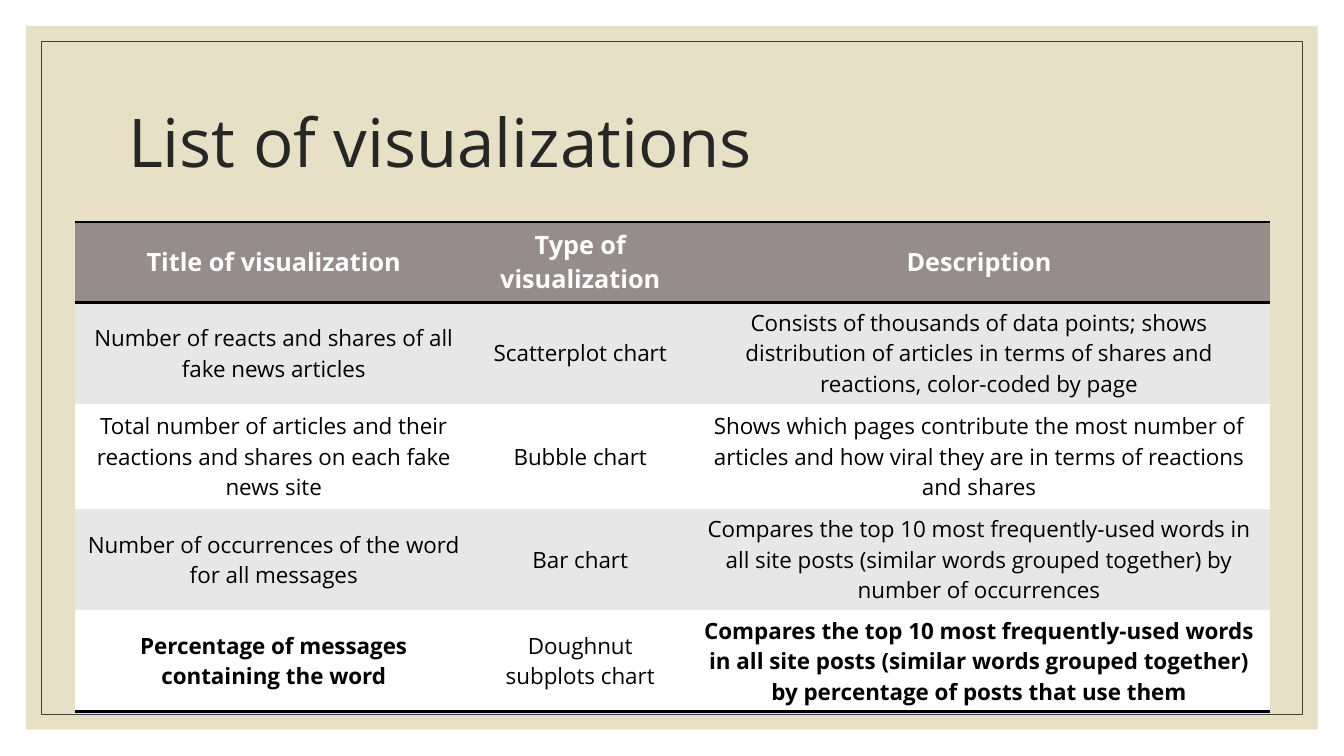
from lxml import etree
from pptx import Presentation, util as u
from pptx.dml.color import RGBColor
from pptx.enum import shapes, text
from pptx.oxml.ns import qn

WIDTH, HEIGHT = 13.33, 7.5
FONT = "Open Sans"
NO_STYLE = "{2D5ABB26-0587-4C30-8999-92F81FD0307C}"
COLUMNS = [3.95, 2.13, 5.78]
ROW_HEIGHTS = [0.8, 1.01, 1.04, 1, 1]
HEADER = ["Title of visualization", "Type of visualization", "Description"]
VISUALIZATIONS = [
    ["Number of reacts and shares of all fake news articles", "Scatterplot chart",
     "Consists of thousands of data points; shows distribution of articles in terms of "
     "shares and reactions, color-coded by page"],
    ["Total number of articles and their reactions and shares on each fake news site",
     "Bubble chart",
     "Shows which pages contribute the most number of articles and how viral they are "
     "in terms of reactions and shares"],
    ["Number of occurrences of the word for all messages", "Bar chart",
     "Compares the top 10 most frequently-used words in all site posts (similar words "
     "grouped together) by number of occurrences"],
    ["Percentage of messages containing the word", "Doughnut subplots chart",
     "Compares the top 10 most frequently-used words in all site posts (similar words "
     "grouped together) by percentage of posts that use them"],
]


def paint(color_format, value):
    color_format.rgb = RGBColor.from_string(value)


def write(frame, words, size, color, align, bold=False):
    frame.vertical_anchor = text.MSO_ANCHOR.MIDDLE
    paragraph = frame.paragraphs[0]
    paragraph.alignment = align
    run = paragraph.add_run()
    run.text = words
    run.font.name, run.font.size, run.font.bold = FONT, u.Pt(size), bold
    paint(run.font.color, color)
    return paragraph


def add_frame(slide, margin, depth, fill=None, line=None):
    """Rectangle at an equal margin from every slide edge, behind the placeholders."""
    shape = slide.shapes.add_shape(
        shapes.MSO_SHAPE.RECTANGLE, u.Inches(margin), u.Inches(margin),
        u.Inches(WIDTH - 2 * margin), u.Inches(HEIGHT - 2 * margin))
    shape.shadow.inherit = False
    if fill:
        shape.fill.solid()
        paint(shape.fill.fore_color, fill)
    else:
        shape.fill.background()
    if line:
        paint(shape.line.color, line)
        shape.line.width = u.Pt(0.5)
    else:
        shape.line.fill.background()
    slide.shapes._spTree.insert(2 + depth, shape._element)


def add_title(slide, left, top, width, height):
    title = slide.shapes.title
    title.left, title.top = u.Inches(left), u.Inches(top)
    title.width, title.height = u.Inches(width), u.Inches(height)
    paragraph = write(title.text_frame, "List of visualizations", 48, "262626",
                      text.PP_ALIGN.LEFT)
    paragraph.line_spacing = 0.9


def add_border(cell, side):
    border = etree.Element(qn(f"a:{side}"), w=str(u.Pt(2)))
    fill = etree.SubElement(border, qn("a:solidFill"))
    etree.SubElement(fill, qn("a:srgbClr"), val="000000")
    cell._tc.get_or_add_tcPr().insert(0, border)


def add_visualization_table(slide, left, top):
    rows = [HEADER, *VISUALIZATIONS]
    table = slide.shapes.add_table(
        len(rows), len(COLUMNS), u.Inches(left), u.Inches(top),
        u.Inches(sum(COLUMNS)), u.Inches(sum(ROW_HEIGHTS))).table
    table._tbl.tblPr.find(qn("a:tableStyleId")).text = NO_STYLE
    for column, width in zip(table.columns, COLUMNS):
        column.width = u.Inches(width)
    last = len(rows) - 1
    for r, words in enumerate(rows):
        table.rows[r].height = u.Inches(ROW_HEIGHTS[r])
        header = r == 0
        fill = "968C8C" if header else "E7E7E7" if r % 2 else "FFFFFF"
        for c, phrase in enumerate(words):
            cell = table.cell(r, c)
            cell.fill.solid()
            paint(cell.fill.fore_color, fill)
            cell.vertical_anchor = text.MSO_ANCHOR.MIDDLE
            write(cell.text_frame, phrase, 18 if header else 16,
                  "FFFFFF" if header else "000000", text.PP_ALIGN.CENTER,
                  bold=header or (r == last and c != 1))
            if r in (0, last):
                add_border(cell, "lnB")
            if header:
                add_border(cell, "lnT")


def main():
    presentation = Presentation()
    presentation.slide_width, presentation.slide_height = u.Inches(WIDTH), u.Inches(HEIGHT)
    slide = presentation.slides.add_slide(presentation.slide_layouts[5])
    add_frame(slide, 0.26, 0, fill="E7E0C7")
    add_frame(slide, 0.41, 1, line="404040")
    add_title(slide, 1.17, 0.7, 11, 1.5)
    add_visualization_table(slide, 0.74, 2.2)
    presentation.save("out.pptx")


if __name__ == "__main__":
    main()
